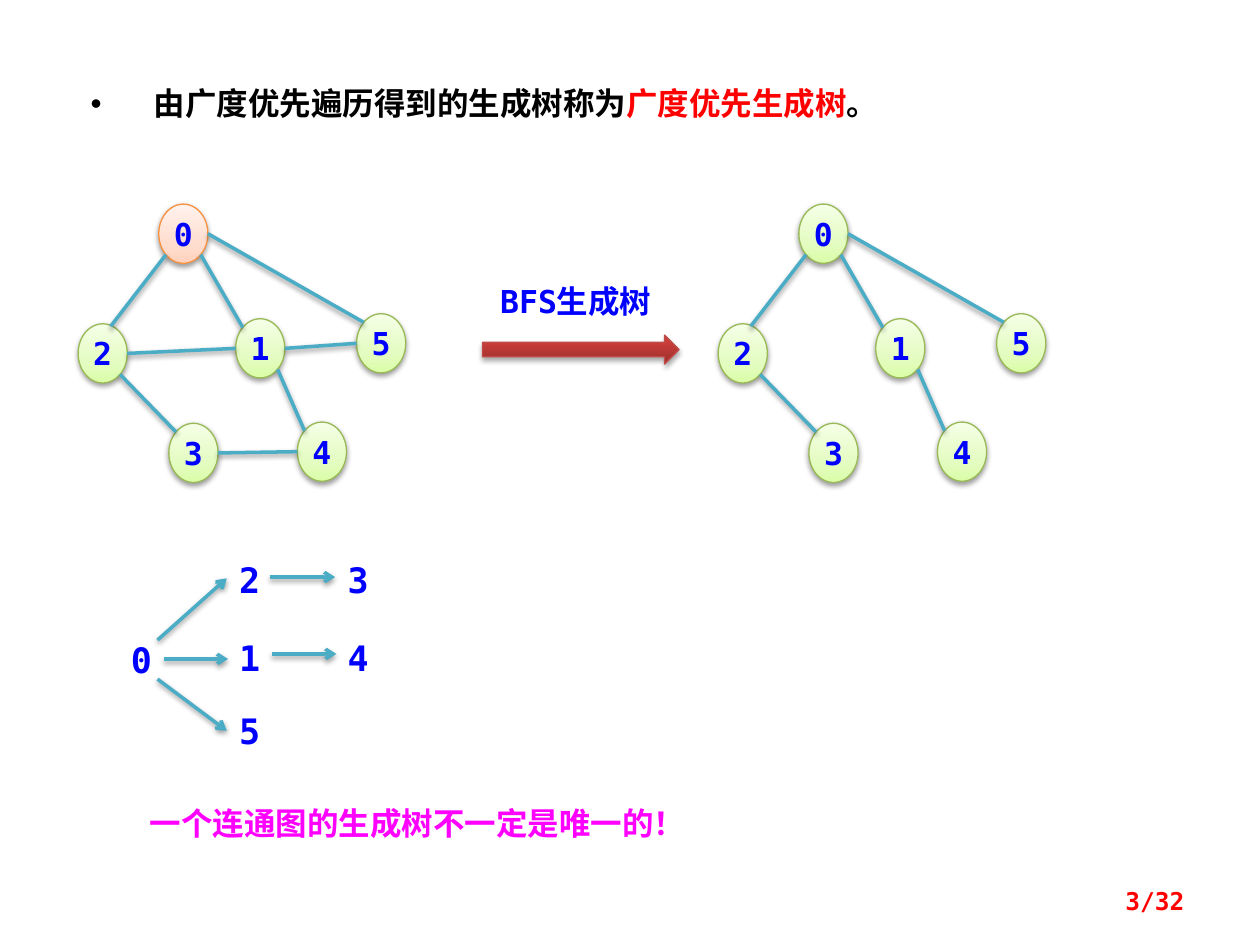
from lxml import etree
from pptx import Presentation
from pptx.dml.color import RGBColor
from pptx.enum.shapes import MSO_CONNECTOR, MSO_SHAPE
from pptx.enum.text import MSO_ANCHOR, PP_ALIGN
from pptx.oxml.ns import qn
from pptx.util import Emu, Inches, Pt

OVAL, ARROW, LINE = MSO_SHAPE.OVAL, MSO_SHAPE.RIGHT_ARROW, MSO_CONNECTOR.STRAIGHT
LEFT, MID, RIGHT, JUST = PP_ALIGN.LEFT, PP_ALIGN.CENTER, PP_ALIGN.RIGHT, PP_ALIGN.JUSTIFY
MONO, SANS, HAN = "DejaVu Sans Mono", "Noto Sans CJK JP", "Noto Sans CJK SC"
INK = {"black": "000000", "white": "FFFFFF", "red": "FF0000", "blue": "0000FF",
       "pink": "FF00FF", "teal": "4BACC6"}
# Fill stops (percent, colour) and rim colour
LOOK = {
    "green": ([(0, "DAFDA7"), (35, "E4FCC2"), (100, "F5FFE7")], "98B955"),
    "peach": ([(0, "FFD2BD"), (35, "FFDED0"), (100, "FFF2ED")], "F69240"),
    "brick": ([(0, "9C2F2D"), (80, "CB3E3A"), (100, "CE3B37")], "BF4C48"),
}

# The slide is a grid of 100 columns by 75 rows
COLS, ROWS = 100, 75
WIDE, HIGH = Inches(10), Inches(7.5)
NODE = (3.9, 4.7)
SPOTS = [(6.4, 0), (12.5, 9.1), (0, 9.5), (7.2, 17.4), (17.4, 17.3), (22.1, 8.7)]
D = 0.71
# Each edge: node, rim point, node, rim point (rim points in radii)
TREE = [(0, (-D, D), 2, (0.33, -0.92)), (2, (D, D), 3, (-D, -D)),
        (0, (D, D), 1, (-D, -D)), (1, (D, D), 4, (-D, -D)),
        (0, (1, 0), 5, (-D, -D))]
CROSS = [(2, (1, 0), 1, (-1, 0)), (1, (1, 0), 5, (-1, 0)), (3, (1, 0), 4, (-1, 0))]


def grid(*spans):
    """Turn column, row, column, row... into lengths."""
    return [Emu(round(s * (HIGH / ROWS if i % 2 else WIDE / COLS)))
            for i, s in enumerate(spans)]


def shade(part, alpha=38, dist=1.6):
    props = part._element.spPr
    fx = etree.SubElement(props, qn("a:effectLst"))
    glow = etree.SubElement(fx, qn("a:outerShdw"), blurRad=str(Pt(3.1)),
                            dist=str(Pt(dist)), dir="5400000", rotWithShape="0")
    tone = etree.SubElement(glow, qn("a:srgbClr"), val=INK["black"])
    etree.SubElement(tone, qn("a:alpha"), val=str(alpha * 1000))


def paint(shape, look):
    stops, rim = LOOK[look]
    shape.fill.gradient()
    shape.fill.gradient_angle = 90
    group = shape._element.spPr.find(".//" + qn("a:gsLst"))
    for old in list(group):
        group.remove(old)
    for place, tone in stops:
        stop = etree.SubElement(group, qn("a:gs"), pos=str(place * 1000))
        etree.SubElement(stop, qn("a:srgbClr"), val=tone)
    shape.line.color.rgb = RGBColor.from_string(rim)
    shape.line.width = Pt(0.75)


def style(para, size, tone, face=MONO, align=LEFT):
    para.alignment = align
    font = para.font
    font.size, font.bold, font.name = Pt(size), True, face
    font.color.rgb = RGBColor.from_string(INK[tone])
    east = HAN if face == MONO else face
    base = para._p.pPr.find(qn("a:defRPr"))
    etree.SubElement(base, qn("a:ea"), typeface=east)


def label(parts, box, text, *look, **more):
    frame = parts.add_textbox(*grid(*box)).text_frame
    frame.word_wrap = True
    frame.text = text
    style(frame.paragraphs[0], *look, **more)
    return frame


def link(parts, start, end, tip=False):
    line = parts.add_connector(LINE, *grid(*start, *end))
    line.line.color.rgb = RGBColor.from_string(INK["teal"])
    line.line.width = Pt(2)
    if tip:
        stroke = line._element.spPr.find(qn("a:ln"))
        etree.SubElement(stroke, qn("a:tailEnd"), type="arrow")
    shade(line)


def title(slide, box):
    shape = slide.shapes.add_textbox(*grid(*box))
    shape.fill.solid()
    shape.fill.fore_color.rgb = RGBColor.from_string(INK["white"])
    frame = shape.text_frame
    frame.word_wrap = True
    para = frame.paragraphs[0]
    para.line_spacing = 1.5
    props = para._p.get_or_add_pPr()
    props.set("marL", str(Inches(0.5)))
    props.set("indent", str(-Inches(0.5)))
    etree.SubElement(props, qn("a:buFont"), typeface="Arial")
    etree.SubElement(props, qn("a:buChar"), char="•")
    style(para, 18, "black", HAN, JUST)
    for text, tone in [("由广度优先遍历得到的生成树称为", "black"),
                       ("广度优先生成树", "red"), ("。", "black")]:
        run = para.add_run()
        run.text = text
        run.font.color.rgb = RGBColor.from_string(INK[tone])


def graph(slide, left, top, edges, root):
    parts = slide.shapes.add_group_shape().shapes
    wide, high = NODE
    # Nodes
    for i, (col, row) in enumerate(SPOTS):
        node = parts.add_shape(OVAL, *grid(left + col, top + row, wide, high))
        paint(node, "green" if i else root)
        shade(node)
        frame = node.text_frame
        frame.word_wrap = False
        frame.vertical_anchor = MSO_ANCHOR.MIDDLE
        frame.text = str(i)
        style(frame.paragraphs[0], 18, "blue", align=MID)

    # Edges
    def rim(i, way):
        col, row = SPOTS[i]
        return (left + col + wide / 2 * (1 + way[0]),
                top + row + high / 2 * (1 + way[1]))

    for a, out, b, into in edges:
        link(parts, rim(a, out), rim(b, into))


def step(slide, left, top):
    parts = slide.shapes.add_group_shape().shapes
    arrow = parts.add_shape(ARROW, *grid(left + 1.6, top + 4.7, 15.6, 2.3))
    paint(arrow, "brick")
    shade(arrow, 35, 1.8)
    label(parts, (left, top, 18, 4), "BFS生成树", 18, "blue", align=MID)


def visit(slide, left, top):
    parts = slide.shapes.add_group_shape().shapes
    gap = 8.6
    # Visited nodes, by level and row
    for text, level, row in [("0", 0, 6.4), ("2", 1, 0), ("1", 1, 6.2),
                             ("5", 1, 12), ("3", 2, 0), ("4", 2, 6.2)]:
        label(parts, (left + level * gap, top + row, 3.9, 4.4), text, 20, "blue")
    # Arrows between levels
    for x, y, x2, y2 in [(3.1, 7, 8.6, 2.1), (3.6, 8.5, 8.7, 8.5),
                         (3.1, 10.1, 8.6, 14.2), (12, 2, 17.2, 2),
                         (12.2, 8.1, 17.3, 8.1)]:
        link(parts, (left + x, top + y), (left + x2, top + y2), tip=True)


def main():
    deck = Presentation()
    deck.slide_width, deck.slide_height = WIDE, HIGH
    slide = deck.slides.add_slide(deck.slide_layouts[6])
    title(slide, (6.2, 4.7, 67.2, 5.6))
    graph(slide, 6.2, 16.2, TREE + CROSS, "peach")
    step(slide, 36.7, 21.9)
    graph(slide, 57, 16.2, TREE, "green")
    visit(slide, 9.4, 43.8)
    # Closing remark and page number
    label(slide.shapes, (10.9, 63.3, 63.3, 4), "一个连通图的生成树不一定是唯一的！",
          18, "pink", SANS)
    page = label(slide.shapes, (71.7, 69.5, 23.3, 4), "3/32", 14, "red", align=RIGHT)
    page.vertical_anchor = MSO_ANCHOR.MIDDLE
    deck.save("out.pptx")


if __name__ == "__main__":
    main()
